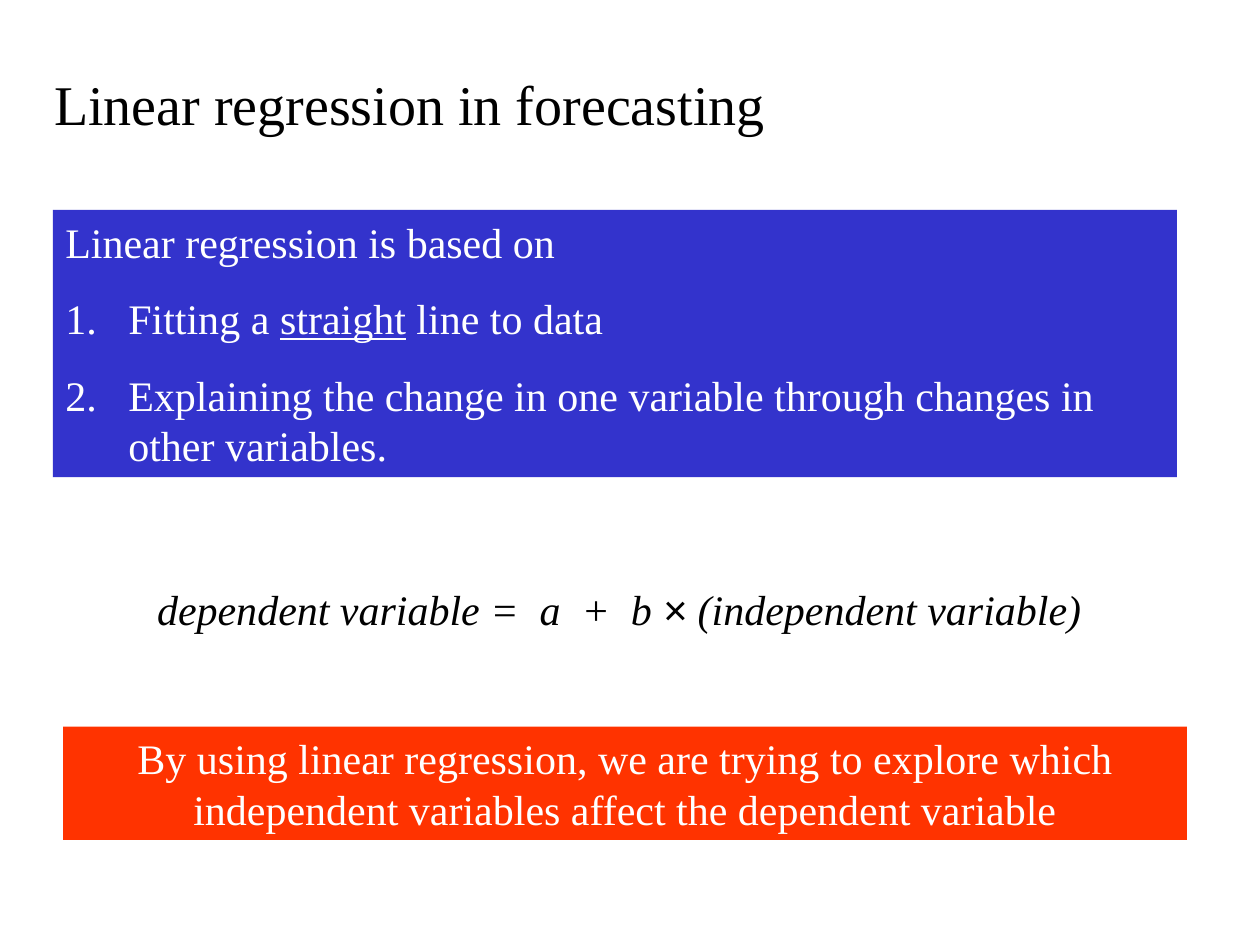
from dataclasses import dataclass

from lxml import etree
from pptx import Presentation
from pptx import util as u
from pptx.dml.color import RGBColor
from pptx.enum import shapes, text
from pptx.oxml.ns import qn

WIDTH, HEIGHT = 10, 7.5
SERIF, SANS = "Times New Roman", "Arial"
BLACK, WHITE, BLUE, RED = "000000", "FFFFFF", "3333CC", "FF3300"
LEFT, CENTER = text.PP_ALIGN.LEFT, text.PP_ALIGN.CENTER


@dataclass
class Run:
    text: str
    underline: bool = False
    font: str = ""


@dataclass
class Line:
    runs: list[Run]
    numbered: bool = False


@dataclass
class Block:
    """Text block; left, top, width and height are shares of the slide."""
    left: float
    top: float
    width: float
    height: float
    lines: list[Line]
    fill: str = ""
    color: str = BLACK
    size: int = 24
    align: text.PP_ALIGN = CENTER
    italic: bool = False


def rgb(value: str) -> RGBColor:
    return RGBColor.from_string(value)


def number(paragraph) -> None:
    """Give the paragraph a hanging automatic number."""
    properties = paragraph._p.get_or_add_pPr()
    properties.set("marL", str(u.Inches(0.5)))
    properties.set("indent", str(-u.Inches(0.5)))
    etree.SubElement(properties, qn("a:buFont"), typeface="+mj-lt")
    etree.SubElement(properties, qn("a:buAutoNum"), type="arabicPeriod")


def write(shape, block: Block) -> None:
    """Place the shape and fill it with the block's formatted text."""
    shape.left, shape.width = (u.Inches(s * WIDTH) for s in (block.left, block.width))
    shape.top, shape.height = (u.Inches(s * HEIGHT) for s in (block.top, block.height))
    frame = shape.text_frame
    frame.word_wrap = True
    frame.auto_size = text.MSO_AUTO_SIZE.SHAPE_TO_FIT_TEXT
    frame.vertical_anchor = text.MSO_ANCHOR.TOP
    for i, line in enumerate(block.lines):
        paragraph = frame.add_paragraph() if i else frame.paragraphs[0]
        paragraph.alignment = block.align
        if i:
            paragraph.space_before = u.Pt(15)
        if line.numbered:
            number(paragraph)
        font = paragraph.font
        font.name, font.size, font.italic = SERIF, u.Pt(block.size), block.italic
        font.color.rgb = rgb(block.color)
        for part in line.runs:
            run = paragraph.add_run()
            run.text = part.text
            if part.underline:
                run.font.underline = True
            if part.font:
                run.font.name = part.font


def draw(slide, block: Block) -> None:
    """Add a filled panel, or a plain text box when there is no fill."""
    if block.fill:
        shape = slide.shapes.add_shape(shapes.MSO_SHAPE.RECTANGLE, 0, 0, 0, 0)
        shape.shadow.inherit = False
        shape.fill.solid()
        shape.fill.fore_color.rgb = rgb(block.fill)
        shape.line.fill.background()
    else:
        shape = slide.shapes.add_textbox(0, 0, 0, 0)
    write(shape, block)


TITLE = Block(0.033, 0.067, 0.933, 0.085,
              [Line([Run("Linear regression in forecasting")])], size=32, align=LEFT)

BASIS = Block(0.042, 0.222, 0.892, 0.283, [
    Line([Run("Linear regression is based on")]),
    Line([Run("Fitting a "), Run("straight", underline=True), Run(" line to data")],
         numbered=True),
    Line([Run("Explaining the change in one variable through changes in other variables.")],
         numbered=True),
], fill=BLUE, color=WHITE, align=LEFT)

PURPOSE = Block(0.05, 0.769, 0.892, 0.12, [
    Line([Run("By using linear regression, we are trying to explore which "
              "independent variables affect the dependent variable")]),
], fill=RED, color=WHITE)

EQUATION = Block(0.05, 0.611, 0.883, 0.067, [
    Line([Run("dependent variable =  a  +  b "), Run("×", font=SANS),
          Run(" (independent variable)")]),
], italic=True)


def main() -> None:
    deck = Presentation()
    deck.slide_width, deck.slide_height = u.Inches(WIDTH), u.Inches(HEIGHT)
    slide = deck.slides.add_slide(deck.slide_layouts.get_by_name("Title Only"))

    # Title
    write(slide.shapes.title, TITLE)

    # Panels and equation
    for block in (BASIS, PURPOSE, EQUATION):
        draw(slide, block)

    deck.save("out.pptx")


if __name__ == "__main__":
    main()
